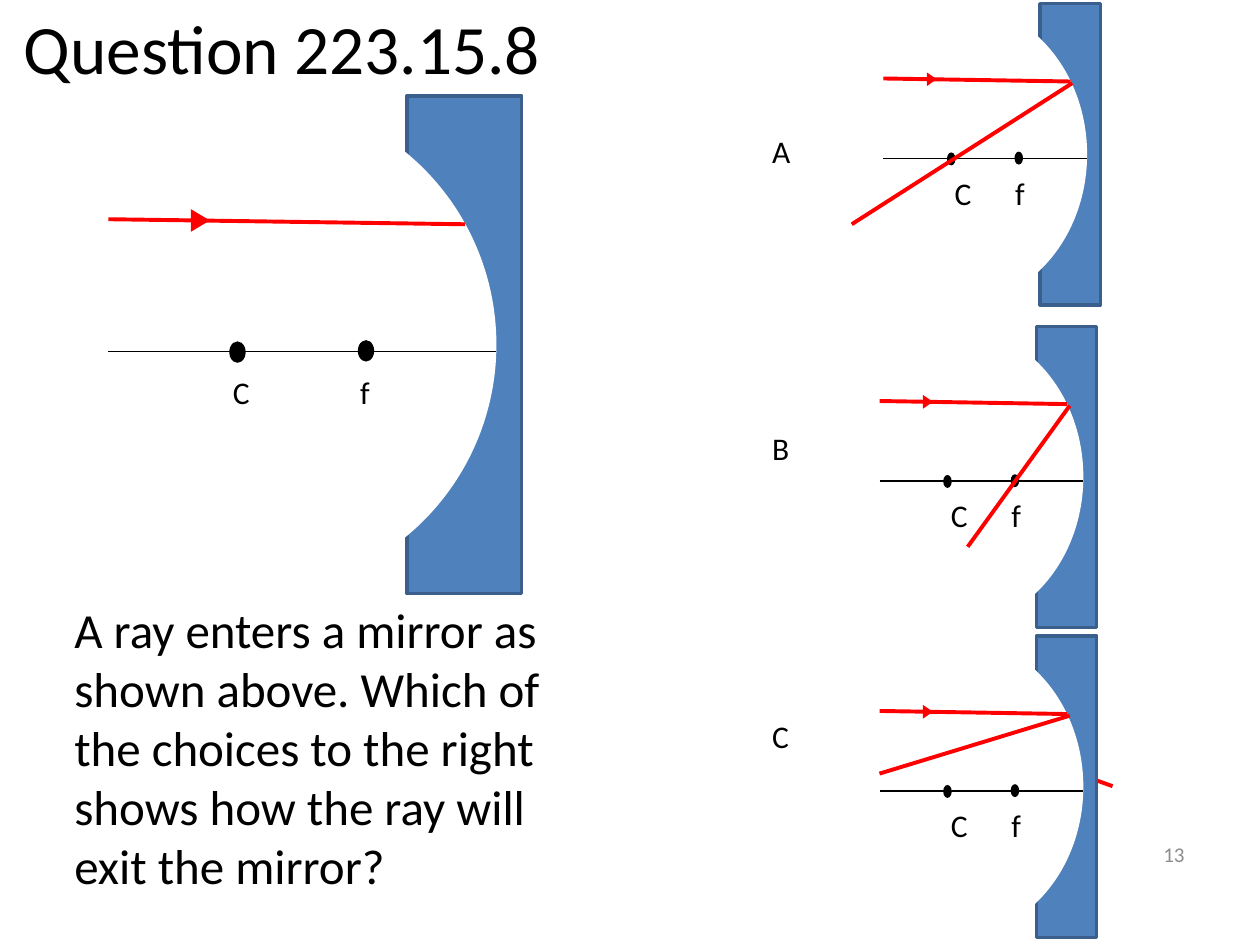
"""Build a quiz slide about a ray reflecting from a concave mirror."""
from lxml.etree import SubElement
from pptx import Presentation
from pptx.dml.color import RGBColor
from pptx.enum.shapes import MSO_CONNECTOR, MSO_SHAPE
from pptx.enum.text import MSO_ANCHOR, MSO_AUTO_SIZE, PP_ALIGN
from pptx.oxml.ns import qn
from pptx.util import Inches, Pt

BLACK = RGBColor(0x00, 0x00, 0x00)
WHITE = RGBColor(0xFF, 0xFF, 0xFF)
RED = RGBColor(0xFF, 0x00, 0x00)
GREY = RGBColor(0x8C, 0x8C, 0x8C)
MIRROR_BLUE = RGBColor(0x4F, 0x81, 0xBD)
MIRROR_EDGE = RGBColor(0x3A, 0x5F, 0x8C)

TITLE = "Question 223.15.8"
QUESTION = ("A ray enters a mirror as shown above. Which of the choices "
            "to the right shows how the ray will exit the mirror?")
PAGE_NUMBER = "13"

FULL_SCALE = (1, 1)
CHOICE_SCALE = (0.525, 0.605)
HIDDEN_RAY = ((7.7, 5.83), (8.83, 6.24))
CHOICES = [
    {"letter": "A", "letter_top": 1.0, "origin": (6.56, 0.03),
     "exit_ray": ((6.76, 1.78), (8.51, 0.66))},
    {"letter": "B", "letter_top": 3.36, "origin": (6.53, 2.59),
     "exit_ray": ((7.68, 4.34), (8.49, 3.22))},
    {"letter": "C", "letter_top": 5.64, "origin": (6.53, 5.05),
     "exit_ray": ((6.98, 6.14), (8.49, 5.68))},
]

MIRROR_BLOCK = (3.23, 0, 0.91, 3.95)
MIRROR_CURVE = (0, 0, 3.94, 3.95)
AXIS = ((0.86, 2.03), (3.94, 2.03))
ENTERING_RAY = ((0.86, 0.98), (3.69, 1.02))
FOCAL_POINTS = [(2.84, 1.94, 0.13, 0.17), (1.82, 1.95, 0.13, 0.17)]
POINT_LABELS = [("C", (1.75, 2.15, 0.38, 0.4)), ("f", (2.76, 2.15, 0.28, 0.42))]
ARROW_CENTRE = (1.59, 0.99)
ARROW_SIZE = (0.18, 0.15)


def write(frame, text, size, color=BLACK, align=PP_ALIGN.LEFT):
    frame.text = text
    paragraph = frame.paragraphs[0]
    paragraph.alignment = align
    font_format = {"name": "Calibri", "size": Pt(size)}
    for attribute, value in font_format.items():
        setattr(paragraph.font, attribute, value)
    paragraph.font.color.rgb = color
    return paragraph


def place(shape, box):
    for attribute, value in zip(("left", "top", "width", "height"), box):
        setattr(shape, attribute, Inches(value))


def add_label(shapes, text, box):
    label = shapes.add_textbox(*map(Inches, box))
    label.text_frame.word_wrap = False
    label.text_frame.auto_size = MSO_AUTO_SIZE.SHAPE_TO_FIT_TEXT
    write(label.text_frame, text, 18)


def add_line(shapes, ends, color, width):
    (x1, y1), (x2, y2) = ends
    line = shapes.add_connector(MSO_CONNECTOR.STRAIGHT, *map(Inches, (x1, y1, x2, y2)))
    line.line.color.rgb = color
    line.line.width = Pt(width)
    SubElement(line._element.spPr, qn("a:effectLst"))


def add_solid(shapes, kind, box, fill, edge=None):
    solid = shapes.add_shape(kind, *map(Inches, box))
    solid.shadow.inherit = False
    solid.fill.solid()
    solid.fill.fore_color.rgb = fill
    if edge is None:
        solid.line.fill.background()
    else:
        solid.line.color.rgb = edge
        solid.line.width = Pt(2)
    return solid


def add_mirror(slide, origin, scale):
    shapes = slide.shapes.add_group_shape().shapes

    def point(position):
        return tuple(o + s * p for o, s, p in zip(origin, scale, position))

    def scaled(box):
        return point(box[:2]) + tuple(s * length for s, length in zip(scale, box[2:]))

    add_solid(shapes, MSO_SHAPE.RECTANGLE, scaled(MIRROR_BLOCK), MIRROR_BLUE, MIRROR_EDGE)
    add_solid(shapes, MSO_SHAPE.OVAL, scaled(MIRROR_CURVE), WHITE)
    add_line(shapes, map(point, AXIS), BLACK, 0.75)
    for dot in FOCAL_POINTS:
        add_solid(shapes, MSO_SHAPE.OVAL, scaled(dot), BLACK)
    add_line(shapes, map(point, ENTERING_RAY), RED, 2.25)
    for text, box in POINT_LABELS:
        add_label(shapes, text, scaled(box))

    x, y = point(ARROW_CENTRE)
    width, height = ARROW_SIZE[0] * scale[1], ARROW_SIZE[1] * scale[0]
    arrow_box = (x - width / 2, y - height / 2, width, height)
    arrow = add_solid(shapes, MSO_SHAPE.ISOSCELES_TRIANGLE, arrow_box, RED)
    arrow.rotation = 90


def add_texts(slide):
    title, question = slide.placeholders
    place(title, (-0.05, -0.25, 4.58, 1.25))
    title.text_frame.vertical_anchor = MSO_ANCHOR.MIDDLE
    title.text_frame.auto_size = MSO_AUTO_SIZE.NONE
    write(title.text_frame, TITLE, 39.6, align=PP_ALIGN.CENTER)

    place(question, (0.49, 4.71, 4.42, 2.55))
    question.text_frame.auto_size = MSO_AUTO_SIZE.NONE
    paragraph = write(question.text_frame, QUESTION, 28)
    paragraph.space_before = Pt(0)
    properties = paragraph._p.get_or_add_pPr()
    properties.set("marL", "0")
    properties.set("indent", "0")
    properties.insert_element_before(
        properties.makeelement(qn("a:buNone")), "a:tabLst", "a:defRPr", "a:extLst")

    page = slide.shapes.add_textbox(*map(Inches, (7.17, 6.58, 2.33, 0.4)))
    page.text_frame.word_wrap = True
    page.text_frame.vertical_anchor = MSO_ANCHOR.MIDDLE
    write(page.text_frame, PAGE_NUMBER, 12, GREY, PP_ALIGN.RIGHT)


def main():
    deck = Presentation()
    deck.slide_width, deck.slide_height = Inches(10), Inches(7.5)
    slide = deck.slides.add_slide(deck.slide_layouts[1])
    add_texts(slide)
    add_line(slide.shapes, HIDDEN_RAY, RED, 2.25)
    add_mirror(slide, (0, 0.76), FULL_SCALE)
    for choice in CHOICES:
        add_mirror(slide, choice["origin"], CHOICE_SCALE)
        add_line(slide.shapes, choice["exit_ray"], RED, 2.25)
        add_label(slide.shapes, choice["letter"], (6.03, choice["letter_top"], 0.37, 0.4))
    deck.save("out.pptx")


if __name__ == "__main__":
    main()
